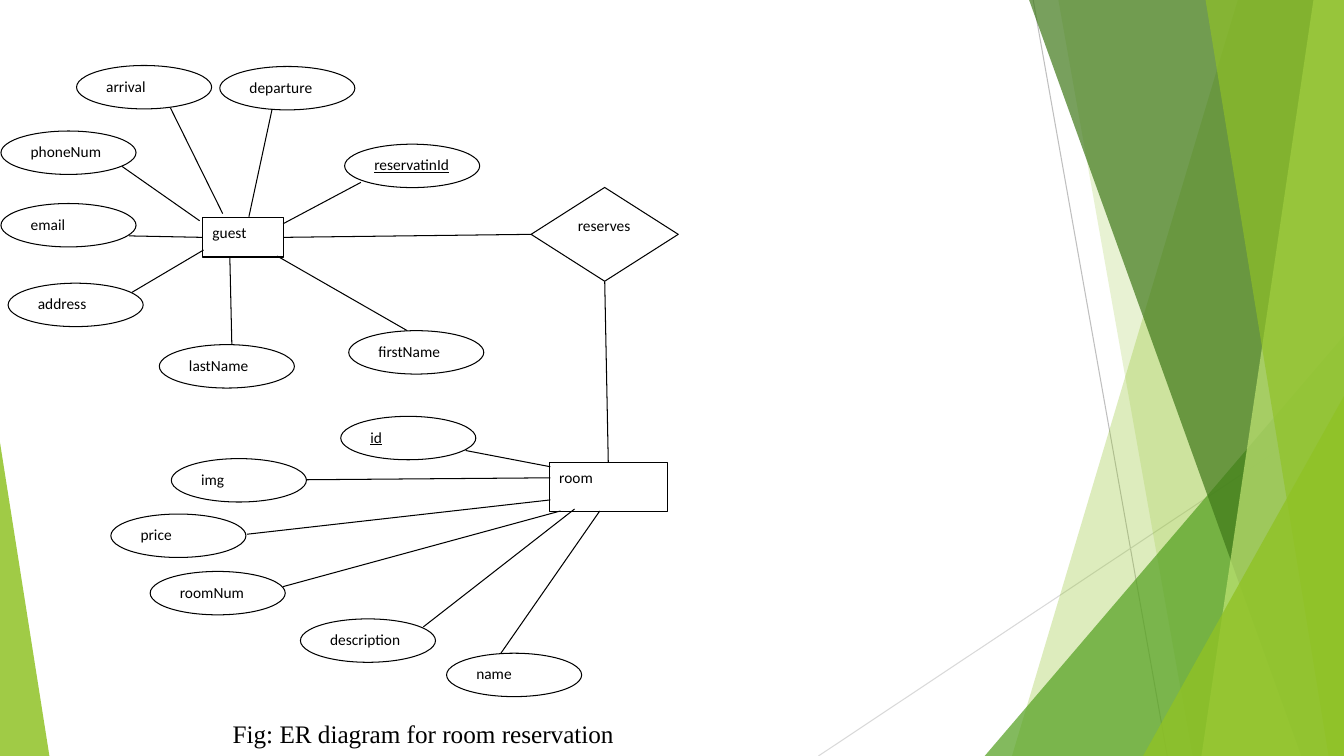
from lxml import etree
from pptx import Presentation
from pptx import util as u
from pptx.dml.color import RGBColor
from pptx.enum import shapes, text
from pptx.oxml.ns import qn

COLOURS = {
    "ink": "000000", "paper": "FFFFFF", "grey": "BFBFBF", "pale grey": "D9D9D9",
    "lime": "90C226", "green": "54A021", "forest": "3F7819", "light lime": "C0E474",
}
WIDTH, HEIGHT = 960, 540
OVAL = (96.5, 31)
KIND = shapes.MSO_SHAPE
TOP, LEFT, BOTTOM, RIGHT = range(4)

BANDS = [
    (884.2, 722.9, "lime", 30),
    (756, 851.8, "lime", 20),
    (703.4, 239.8, "green", 72),
    (735.1, 929.5, "forest", 70),
    (938.2, 858.2, "light lime", 70),
    (861.1, 949, "lime", 65),
    (816.5, 283, "lime", 80),
]
WEDGES = (2, 6)

GUEST_ATTRIBUTES = [
    ("arrival", 54.7, 46.8, (159.1, 152.6), (121.7, 77)),
    ("departure", 157, 47.5, (177.8, 154.8), (194.4, 77.8)),
    ("phoneNum", 0.7, 93.6, (142.6, 157.7), (87.1, 118.8)),
    ("email", 0.7, 145.4, None, (92.2, 168.5)),
    ("address", 5.8, 202.3, (145.4, 178.6), (94.3, 208.8)),
    ("lastName", 113.8, 246.2, (164.2, 184.3), (165.6, 246.2)),
    ("firstName", 249.1, 236.2, (198, 182.9), (290.9, 236.2)),
    ("reservatinId", 246.2, 103, (202.3, 159.8), (257.8, 130.3)),
]
ROOM_ATTRIBUTES = [
    ("id", 243.4, 297.4, (393.1, 333.4), (332.6, 321.8)),
    ("img", 122.4, 327.6, (393.1, 341.3), (218.9, 342.7)),
    ("price", 79.2, 367.2, (393.1, 357.1), (176.4, 381.6)),
    ("roomNum", 107.3, 408.2, (400.3, 365), (202.3, 419)),
    ("description", 214.6, 442.1, (410.4, 363.6), (302.4, 447.8)),
    ("name", 319, 466.6, (428.4, 365), (357.8, 466.6)),
]
KEYS = {"reservatinId", "id"}


class Diagram:
    font, size, stroke = "Calibri", 11, 0.75

    def __init__(self, page):
        self.page = page

    def colour(self, name):
        return RGBColor.from_string(COLOURS[name])

    def tint(self, shape, name, opacity):
        shape.shadow.inherit = False
        shape.line.fill.background()
        shape.fill.solid()
        shape.fill.fore_color.rgb = self.colour(name)
        swatch = shape._element.spPr.find(qn("a:solidFill"))[0]
        etree.SubElement(swatch, qn("a:alpha"), val=str(opacity * 1000))

    def band(self, top_x, bottom_x, name, opacity):
        builder = self.page.shapes.build_freeform(u.Pt(top_x), 0)
        corners = [(WIDTH, 0), (WIDTH, HEIGHT), (bottom_x, HEIGHT)]
        builder.add_line_segments([(u.Pt(x), u.Pt(y)) for x, y in corners])
        self.tint(builder.convert_to_shape(), name, opacity)

    def wedge(self, left, top, width, apex, name, opacity):
        shape = self.page.shapes.add_shape(
            KIND.ISOSCELES_TRIANGLE, u.Pt(left), u.Pt(top), u.Pt(width), u.Pt(HEIGHT - top))
        shape.adjustments[0] = apex
        self.tint(shape, name, opacity)

    def line(self, start, end, name="ink"):
        link = self.page.shapes.add_connector(
            shapes.MSO_CONNECTOR.STRAIGHT, *[u.Pt(value) for value in (*start, *end)])
        link.line.color.rgb = self.colour(name)
        link.line.width = u.Pt(self.stroke)
        etree.SubElement(link._element.spPr, qn("a:effectLst"))
        return link

    def label(self, frame, words, font, size):
        frame.word_wrap = True
        frame.vertical_anchor = text.MSO_ANCHOR.TOP
        frame.margin_right = 0
        para = frame.paragraphs[0]
        para.text = words
        para.alignment = text.PP_ALIGN.LEFT
        para.font.name = font
        para.font.size = u.Pt(size)
        para.font.color.rgb = self.colour("ink")
        return para

    def node(self, kind, words, left, top, width, height):
        box = self.page.shapes.add_shape(
            kind, u.Pt(left), u.Pt(top), u.Pt(width), u.Pt(height))
        box.shadow.inherit = False
        box.fill.solid()
        box.fill.fore_color.rgb = self.colour("paper")
        box.line.color.rgb = self.colour("ink")
        box.line.width = u.Pt(self.stroke)
        para = self.label(box.text_frame, words, self.font, self.size)
        if words in KEYS:
            para.font.underline = True
        return box

    def attributes(self, entity, rows):
        for words, left, top, start, end in rows:
            self.node(KIND.OVAL, words, left, top, *OVAL)
            link = self.line(start or end, end)
            if start is None:
                link.begin_connect(entity, LEFT)

    def join(self, first, first_side, second, second_side):
        link = self.line((0, 0), (0, 0))
        link.begin_connect(first, first_side)
        link.end_connect(second, second_side)

    def caption(self, words, left, top, width, height):
        box = self.page.shapes.add_textbox(
            u.Pt(left), u.Pt(top), u.Pt(width), u.Pt(height))
        self.label(box.text_frame, words, "Times New Roman", 18)


def main():
    deck = Presentation()
    deck.slide_width, deck.slide_height = u.Pt(WIDTH), u.Pt(HEIGHT)
    diagram = Diagram(deck.slides.add_slide(deck.slide_layouts[6]))

    diagram.line((738, 0), (833.8, HEIGHT), "grey")
    diagram.line((WIDTH, 290.2), (584.6, HEIGHT), "pale grey")
    for index, (first, second, name, opacity) in enumerate(BANDS):
        if index in WEDGES:
            diagram.wedge(first, second, WIDTH - first, 1, name, opacity)
        else:
            diagram.band(first, second, name, opacity)
    diagram.wedge(0, 316.1, 35.3, 0, "lime", 85)

    guest = diagram.node(KIND.RECTANGLE, "guest", 144.7, 155.5, 57.6, 28.1)
    reserves = diagram.node(KIND.FLOWCHART_DECISION, "reserves", 379.4, 133.9, 105.1, 67)
    room = diagram.node(KIND.RECTANGLE, "room", 392.4, 330.5, 84.2, 34.6)
    diagram.attributes(guest, GUEST_ATTRIBUTES)
    diagram.attributes(room, ROOM_ATTRIBUTES)
    diagram.join(guest, RIGHT, reserves, LEFT)
    diagram.join(reserves, BOTTOM, room, TOP)
    diagram.caption("Fig: ER diagram for room reservation", 159.1, 509.8, 440, 30)

    deck.save("out.pptx")


if __name__ == "__main__":
    main()
